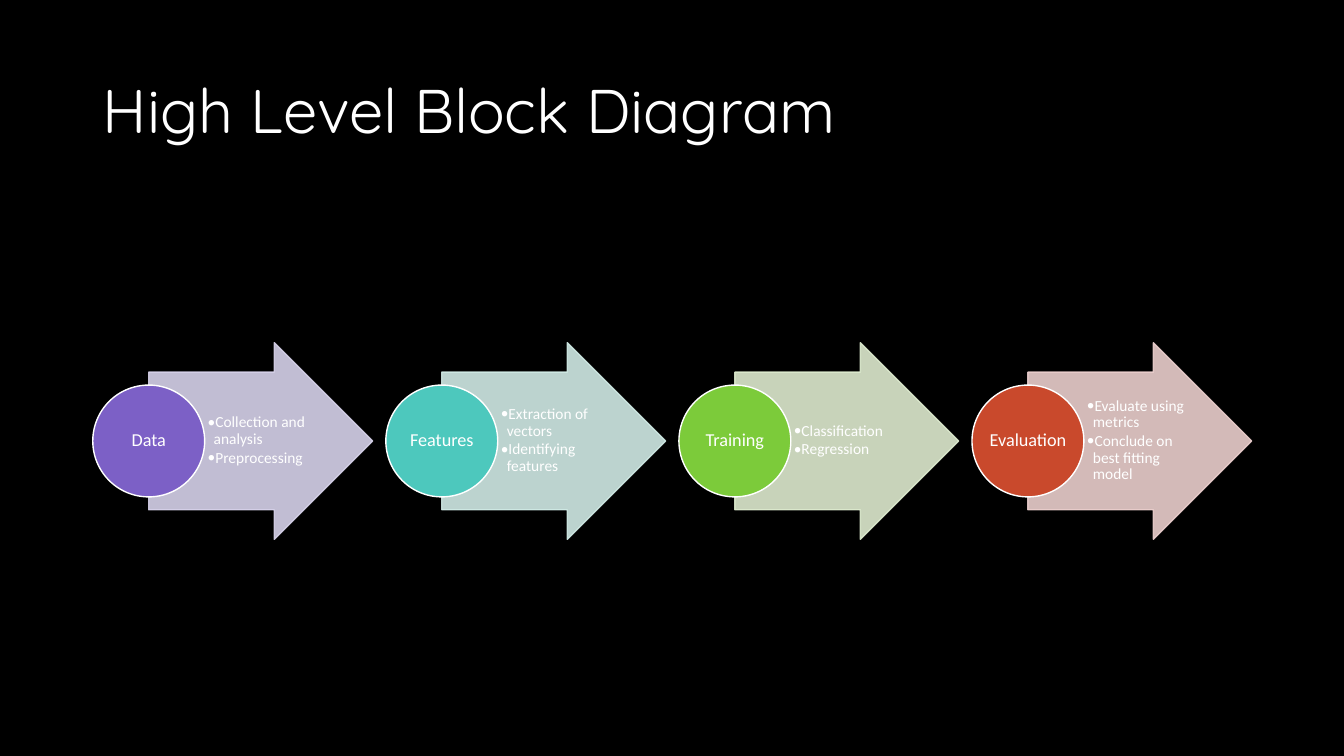
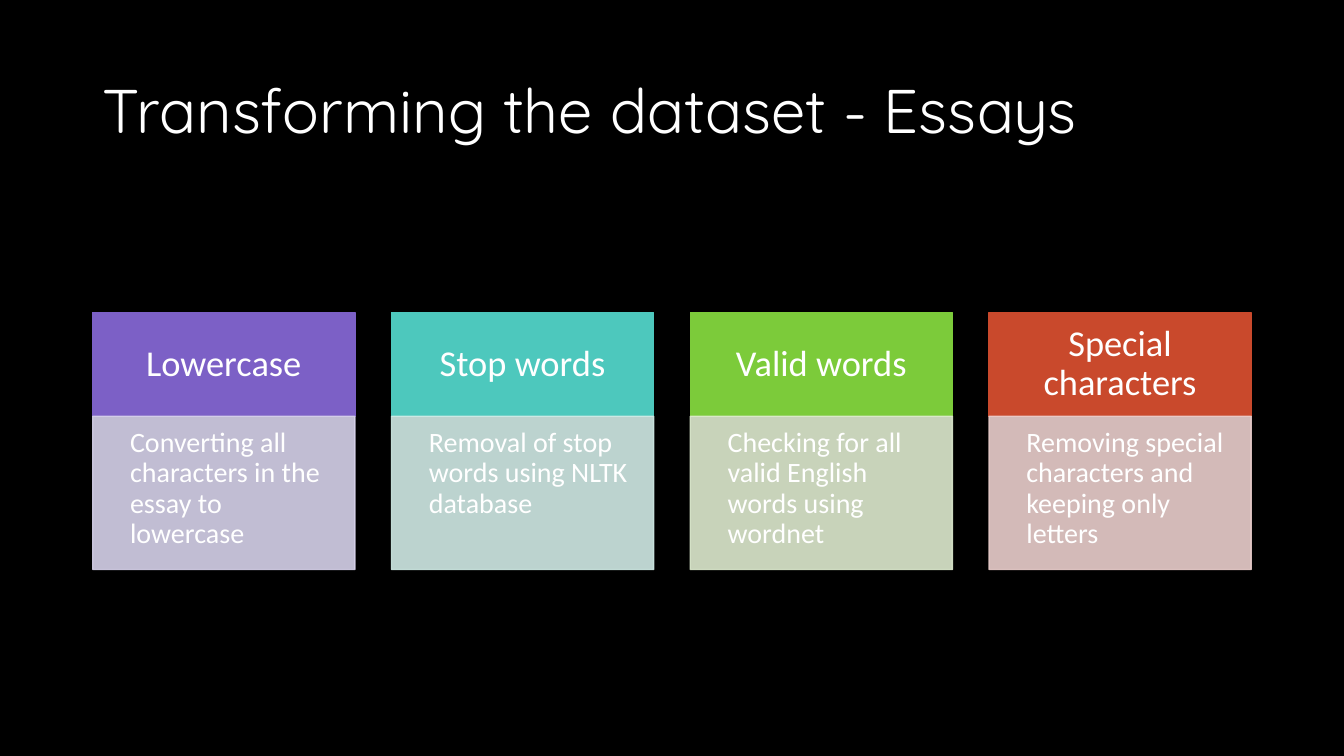
"""Build two dark slides: a block diagram and a row of text-cleaning cards."""
import dataclasses

import lxml.etree
import pptx
import pptx.dml.color
import pptx.enum.shapes
import pptx.enum.text
import pptx.oxml.ns
import pptx.util

Inches = pptx.util.Inches
Align = pptx.enum.text.PP_ALIGN
Anchor = pptx.enum.text.MSO_ANCHOR
Preset = pptx.enum.shapes.MSO_SHAPE


@dataclasses.dataclass(frozen=True)
class Theme:
    background: str = "000000"
    text: str = "FFFFFF"
    accents: tuple = ("7C60C6", "4DC8BD", "7CCB3A", "C9492C")
    tints: tuple = ("D7D2EA", "D1EBE6", "DEEBCF", "EBCFCD")
    tint_opacity: int = 90
    title_font: str = "Quicksand"
    body_font: str = "Calibri"
    title_size: int = 44
    heading_size: int = 26
    body_size: int = 20
    stage_size: int = 13
    bullet_size: int = 11


THEME = Theme()
LEFT, TITLE_WIDTH, GRID_WIDTH = 0.92, 11.5, 11.49


def color(value):
    return pptx.dml.color.RGBColor.from_string(value)


def write_text(frame, *lines, size, font=THEME.body_font, align=Align.LEFT,
               anchor=Anchor.MIDDLE, insets=(0.1, 0.05, 0.1, 0.05), wrap=True,
               bullet_indent=None, space_after=0):
    frame.word_wrap = wrap
    frame.auto_size = pptx.enum.text.MSO_AUTO_SIZE.NONE
    frame.vertical_anchor = anchor
    (frame.margin_left, frame.margin_top,
     frame.margin_right, frame.margin_bottom) = map(Inches, insets)
    for index, line in enumerate(lines):
        paragraph = frame.add_paragraph() if index else frame.paragraphs[0]
        paragraph.alignment = align
        paragraph.line_spacing = 0.9
        paragraph.space_after = pptx.util.Pt(space_after)
        run = paragraph.add_run()
        run.text = line
        run.font.name = font
        run.font.size = pptx.util.Pt(size)
        run.font.color.rgb = color(THEME.text)
        if bullet_indent:
            paragraph.level = 1
            properties = paragraph._p.get_or_add_pPr()
            properties.set("marL", str(Inches(bullet_indent)))
            properties.set("indent", str(-Inches(bullet_indent)))
            for tag, name, value in (("a:buFont", "typeface", font),
                                     ("a:buChar", "char", "•")):
                node = lxml.etree.SubElement(properties, pptx.oxml.ns.qn(tag))
                node.set(name, value)


def column_lefts(count, width):
    pitch = (GRID_WIDTH - width) / (count - 1)
    return [LEFT + index * pitch for index in range(count)]


class Deck:
    def __init__(self, theme):
        self.theme = theme
        self.presentation = pptx.Presentation()
        self.presentation.slide_width = Inches(13.33)
        self.presentation.slide_height = Inches(7.5)
        background = self.presentation.slide_master.background.fill
        background.solid()
        background.fore_color.rgb = color(theme.background)
        self.slide = None

    def add_slide(self, title):
        layout = self.presentation.slide_layouts.get_by_name("Title Only")
        self.slide = self.presentation.slides.add_slide(layout)
        placeholder = self.slide.shapes.title
        placeholder.left, placeholder.top = Inches(LEFT), Inches(0.4)
        placeholder.width, placeholder.height = Inches(TITLE_WIDTH), Inches(1.45)
        write_text(placeholder.text_frame, title, size=self.theme.title_size,
                   font=self.theme.title_font)

    def add_shape(self, preset, box, fill, line=None, opacity=100):
        shape = self.slide.shapes.add_shape(preset, *map(Inches, box))
        shape.shadow.inherit = False
        shape.fill.solid()
        shape.fill.fore_color.rgb = color(fill)
        shape.line.color.rgb = color(line or fill)
        shape.line.width = pptx.util.Pt(1)
        if opacity < 100:
            for node in shape.element.spPr.iter(pptx.oxml.ns.qn("a:srgbClr")):
                alpha = lxml.etree.SubElement(node, pptx.oxml.ns.qn("a:alpha"))
                alpha.set("val", str(opacity * 1000))
        return shape

    def add_stage(self, left, accent, tint, name, tasks):
        diameter = 1.11
        arrow = self.add_shape(Preset.RIGHT_ARROW, (left + diameter / 2, 3.4, 2.22, 1.95),
                               tint, opacity=self.theme.tint_opacity)
        arrow.adjustments[0], arrow.adjustments[1] = 0.7, 0.5
        task_box = self.slide.shapes.add_textbox(
            *map(Inches, (left + diameter, 3.69, 1.08, 1.36)))
        write_text(task_box.text_frame, *tasks, size=self.theme.bullet_size,
                   insets=(0.03, 0.01, 0.02, 0.01), bullet_indent=0.06, space_after=1.5)
        circle = self.add_shape(Preset.OVAL, (left, 3.82, diameter, diameter),
                                accent, line=self.theme.text)
        write_text(circle.text_frame, name, size=self.theme.stage_size,
                   align=Align.CENTER, insets=(0.01,) * 4, wrap=False)

    def add_card(self, left, width, accent, tint, heading, body):
        header = self.add_shape(Preset.RECTANGLE, (left, 3.1, width, 1.03), accent)
        write_text(header.text_frame, heading, size=self.theme.heading_size,
                   align=Align.CENTER, insets=(0.2, 0.12, 0.2, 0.12))
        panel = self.add_shape(Preset.RECTANGLE, (left, 4.13, width, 1.52), tint,
                               opacity=self.theme.tint_opacity)
        write_text(panel.text_frame, body, size=self.theme.body_size,
                   anchor=Anchor.TOP, insets=(0.37, 0.12, 0.16, 0.17))


def main():
    deck = Deck(THEME)

    deck.add_slide("High Level Block Diagram")
    stages = (
        ("Data", ("Collection and analysis", "Preprocessing")),
        ("Features", ("Extraction of vectors", "Identifying features")),
        ("Training", ("Classification", "Regression")),
        ("Evaluation", ("Evaluate using metrics", "Conclude on best fitting model")),
    )
    lefts = column_lefts(len(stages), 2.77)
    for left, accent, tint, stage in zip(lefts, THEME.accents, THEME.tints, stages):
        deck.add_stage(left, accent, tint, *stage)

    deck.add_slide("Transforming the dataset - Essays")
    cards = (
        ("Lowercase", "Converting all characters in the essay to lowercase"),
        ("Stop words", "Removal of stop words using NLTK database"),
        ("Valid words", "Checking for all valid English words using wordnet"),
        ("Special characters", "Removing special characters and keeping only letters"),
    )
    card_width = 2.6
    lefts = column_lefts(len(cards), card_width)
    for left, accent, tint, card in zip(lefts, THEME.accents, THEME.tints, cards):
        deck.add_card(left, card_width, accent, tint, *card)

    deck.presentation.save("out.pptx")


if __name__ == "__main__":
    main()
